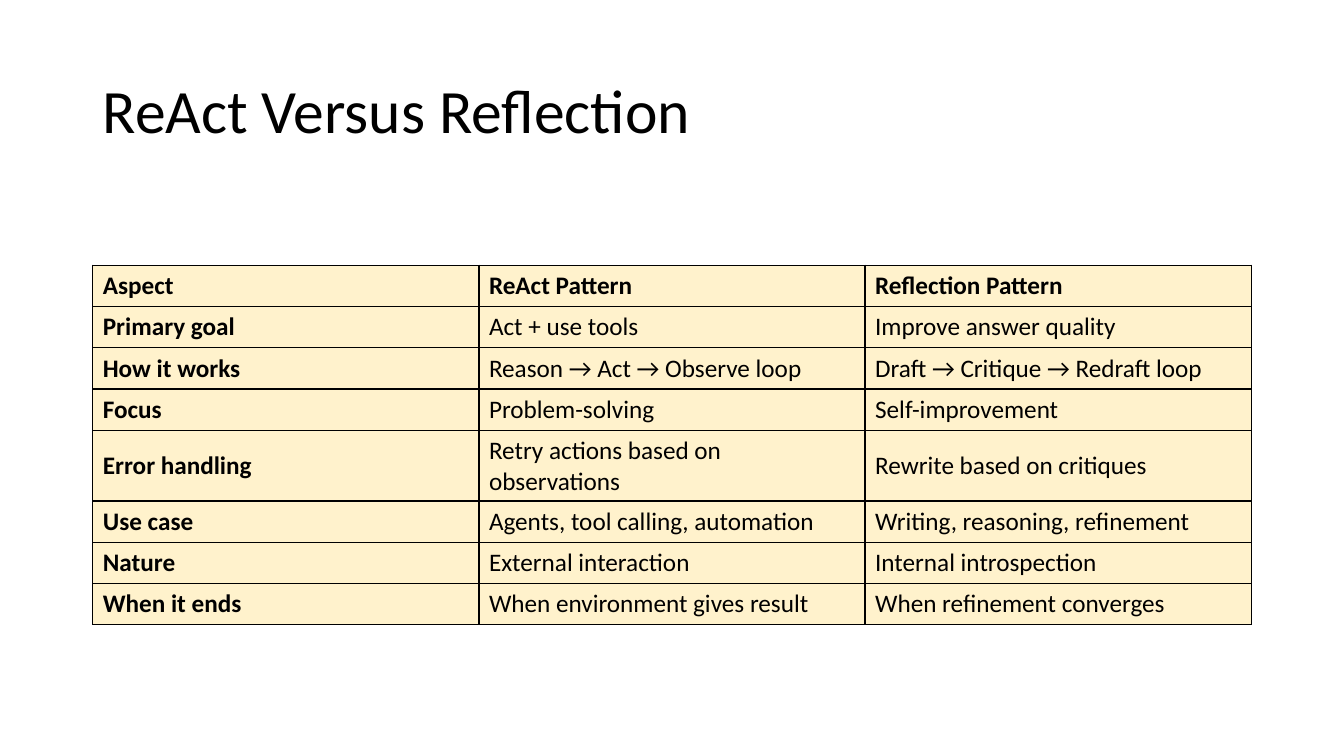
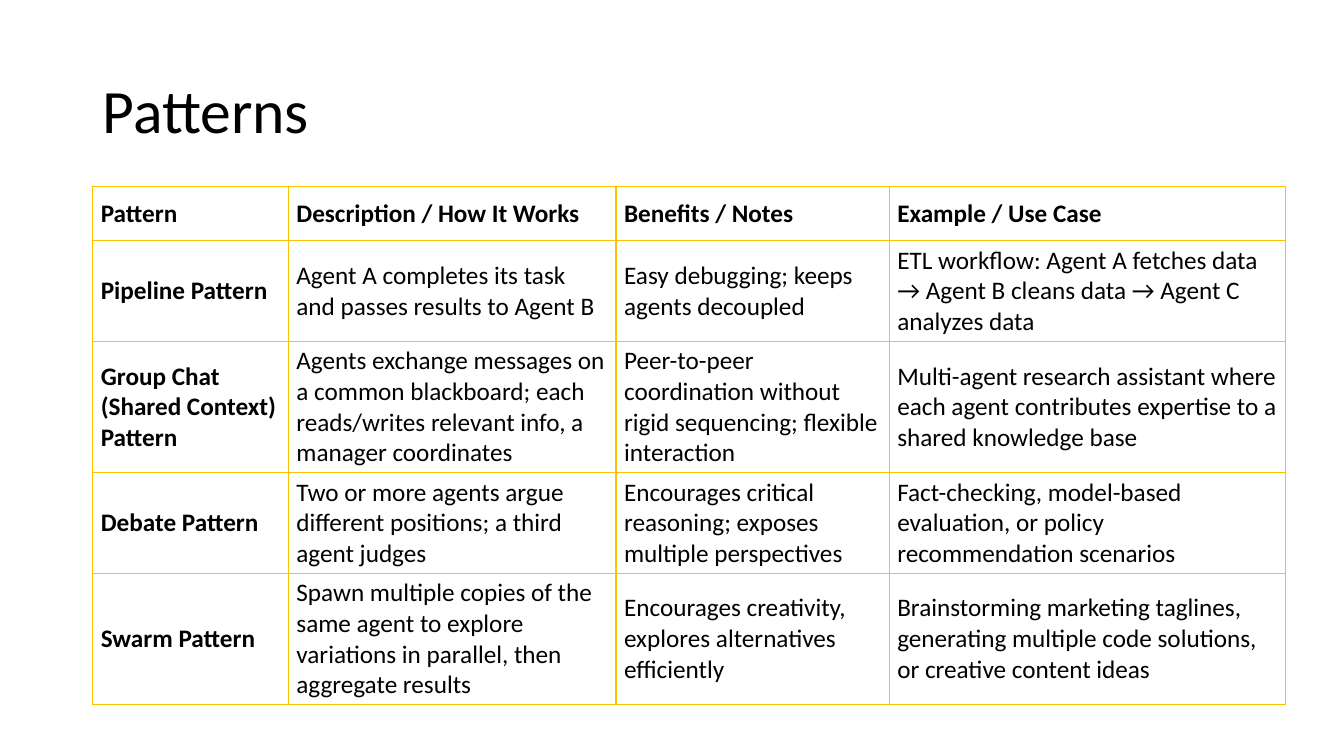
from lxml import etree
from pptx import Presentation
from pptx.dml.color import RGBColor
from pptx.enum.text import MSO_ANCHOR
from pptx.oxml.ns import qn
from pptx.util import Inches, Pt

MIDDLE = MSO_ANCHOR.MIDDLE
FONT = "Calibri"
COLORS = {"text": "000000", "page": "FFFFFF", "cream": "FFF2CC", "gold": "FFC000"}
BORDER_SIDES = ("a:lnL", "a:lnR", "a:lnT", "a:lnB")
LEFT = 0.92
TITLE_BOX = (LEFT, 0.4, 11.5, 1.45)

COMPARISON = [
    ("Aspect", "ReAct Pattern", "Reflection Pattern"),
    ("Primary goal", "Act + use tools", "Improve answer quality"),
    ("How it works", "Reason → Act → Observe loop", "Draft → Critique → Redraft loop"),
    ("Focus", "Problem-solving", "Self-improvement"),
    ("Error handling", "Retry actions based on observations", "Rewrite based on critiques"),
    ("Use case", "Agents, tool calling, automation", "Writing, reasoning, refinement"),
    ("Nature", "External interaction", "Internal introspection"),
    ("When it ends", "When environment gives result", "When refinement converges"),
]

PATTERNS = [
    ("Pattern", "Description / How It Works", "Benefits / Notes", "Example / Use Case"),
    ("Pipeline Pattern",
     "Agent A completes its task and passes results to Agent B",
     "Easy debugging; keeps agents decoupled",
     "ETL workflow: Agent A fetches data → Agent B cleans data → Agent C analyzes data"),
    ("Group Chat (Shared Context) Pattern",
     "Agents exchange messages on a common blackboard; each reads/writes relevant info, "
     "a manager coordinates",
     "Peer-to-peer coordination without rigid sequencing; flexible interaction",
     "Multi-agent research assistant where each agent contributes expertise to a "
     "shared knowledge base"),
    ("Debate Pattern",
     "Two or more agents argue different positions; a third agent judges",
     "Encourages critical reasoning; exposes multiple perspectives",
     "Fact-checking, model-based evaluation, or policy recommendation scenarios"),
    ("Swarm Pattern",
     "Spawn multiple copies of the same agent to explore variations in parallel, "
     "then aggregate results",
     "Encourages creativity, explores alternatives efficiently",
     "Brainstorming marketing taglines, generating multiple code solutions, "
     "or creative content ideas"),
]


def rgb(name):
    return RGBColor.from_string(COLORS[name])


def write_text(frame, text, size=18, bold=False, color="text", line_spacing=None):
    frame.word_wrap = True
    paragraph = frame.paragraphs[0]
    paragraph.line_spacing = line_spacing
    run = paragraph.add_run()
    run.text = text
    run.font.name = FONT
    run.font.size = Pt(size)
    run.font.bold = bold
    run.font.color.rgb = rgb(color)


def add_title(slide, text, box):
    title = slide.shapes.add_textbox(*map(Inches, box))
    title.text_frame.vertical_anchor = MIDDLE
    write_text(title.text_frame, text, size=44, line_spacing=0.9)


def set_borders(cell, color, width=1):
    """Draw all four sides; call before the fill, which must follow them in the XML."""
    properties = cell._tc.get_or_add_tcPr()
    for side in BORDER_SIDES:
        line = etree.SubElement(properties, qn(side), w=str(Pt(width)))
        fill = etree.SubElement(line, qn("a:solidFill"))
        etree.SubElement(fill, qn("a:srgbClr"), val=COLORS[color])


def add_grid(slide, rows, left, top, widths, heights, border, fill=None, margins=(0.1, 0.05)):
    """Add a table with a bold first row and column; margins are (side, top and bottom)."""
    frame = slide.shapes.add_table(len(rows), len(widths), Inches(left), Inches(top),
                                   Inches(sum(widths)), Inches(sum(heights)))
    table = frame.table
    table.first_row = table.horz_banding = False
    for column, width in zip(table.columns, widths):
        column.width = Inches(width)
    for row, height in zip(table.rows, heights):
        row.height = Inches(height)
    for r, texts in enumerate(rows):
        for c, text in enumerate(texts):
            cell = table.cell(r, c)
            cell.vertical_anchor = MIDDLE
            cell.margin_left = cell.margin_right = Inches(margins[0])
            cell.margin_top = cell.margin_bottom = Inches(margins[1])
            set_borders(cell, border)
            if fill:
                cell.fill.solid()
                cell.fill.fore_color.rgb = rgb(fill)
            else:
                cell.fill.background()
            write_text(cell.text_frame, text, bold=r == 0 or c == 0)


def add_table_slide(prs, title, rows, **grid):
    slide = prs.slides.add_slide(prs.slide_layouts[6])
    slide.background.fill.solid()
    slide.background.fill.fore_color.rgb = rgb("page")
    add_title(slide, title, TITLE_BOX)
    add_grid(slide, rows, LEFT, **grid)


def main():
    prs = Presentation()
    prs.slide_width, prs.slide_height = Inches(13.33), Inches(7.5)
    add_table_slide(prs, "ReAct Versus Reflection", COMPARISON, top=2.63,
                    widths=[3.83] * 3, heights=[0.41] * 4 + [0.7] + [0.41] * 3,
                    border="text", fill="cream")
    add_table_slide(prs, "Patterns", PATTERNS, top=1.85,
                    widths=[1.94, 3.25, 2.71, 3.93], heights=[0.54, 1, 1.3, 1, 1.3],
                    border="gold", margins=(0.08, 0.04))
    prs.save("out.pptx")


if __name__ == "__main__":
    main()
